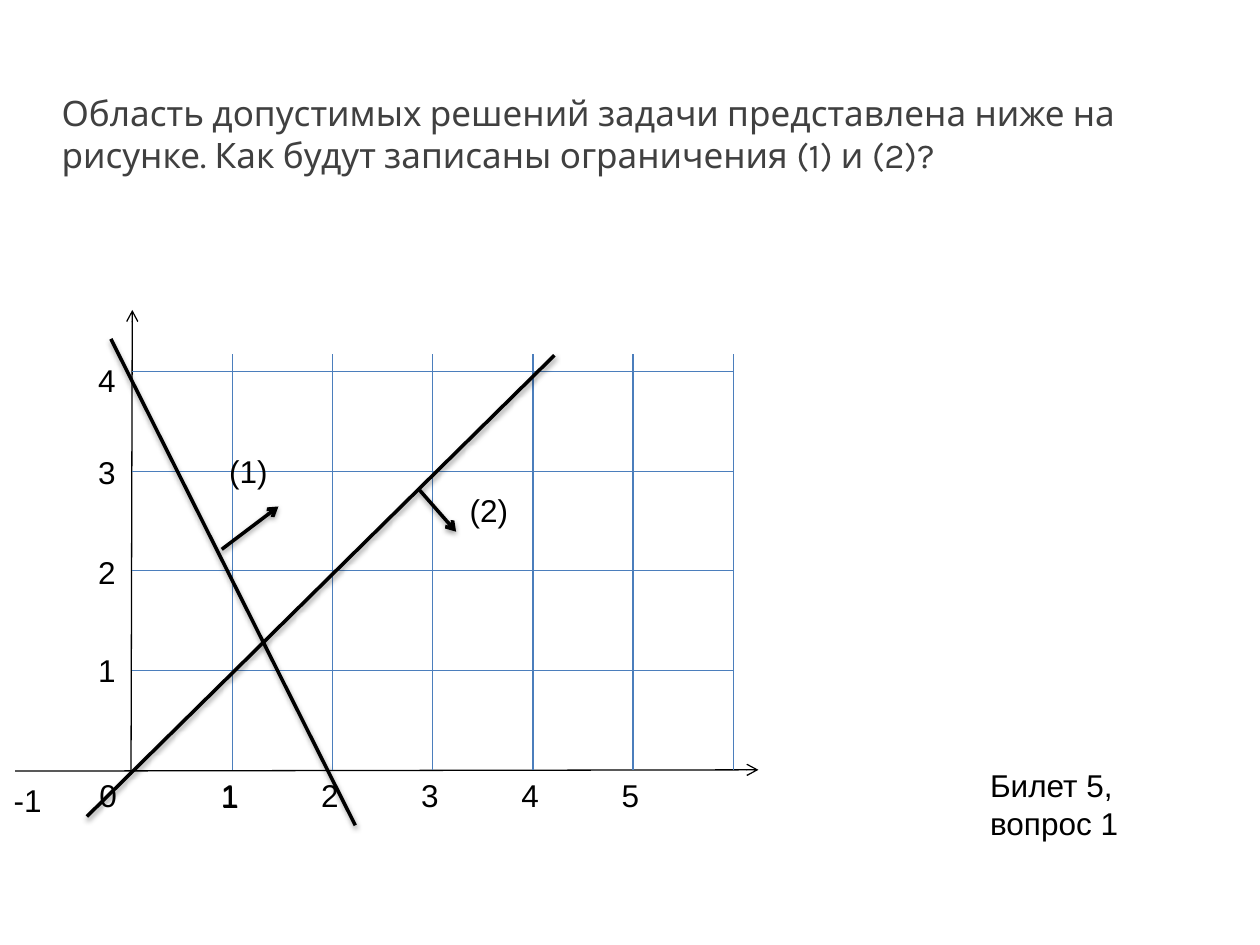
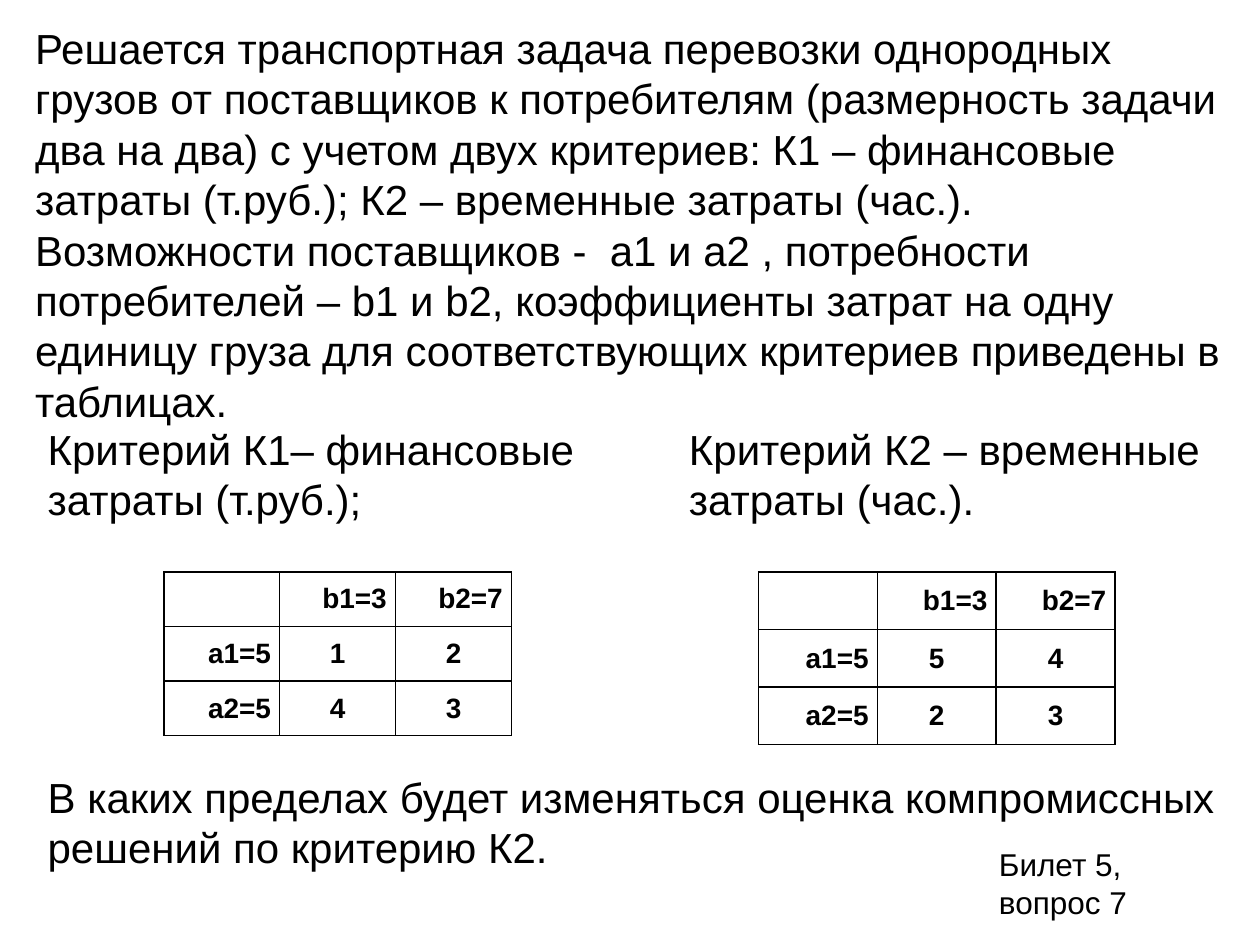
from lxml.etree import SubElement
from pptx import Presentation
from pptx.dml.color import RGBColor
from pptx.enum.shapes import MSO_CONNECTOR
from pptx.enum.text import MSO_ANCHOR, MSO_AUTO_SIZE, PP_ALIGN
from pptx.oxml.ns import qn
from pptx.util import Inches, Pt

COLORS = {"ink": "000000", "title": "404040", "grid": "4B7EBC"}

QUESTION = ("Область допустимых решений задачи представлена ниже на рисунке. "
            "Как будут записаны ограничения (1) и (2)?")
ORIGIN = (1.05, 6.11)
UNIT = (0.795, 0.79)
GRID_TOP, GRID_RIGHT = 2.81, 5.82
COLUMNS, ROWS = 6, 4
AXES = [((1.04, 6.15), (1.05, 2.46)), ((0.12, 6.12), (6.02, 6.11))]
CONSTRAINTS = [((0.69, 6.48), (4.4, 2.82)), ((0.88, 2.69), (2.82, 6.55))]
NORMALS = [((1.76, 4.36), (2.21, 4.02)), ((3.33, 3.89), (3.62, 4.22))]
Y_LABEL_TOPS = [5.12, 4.34, 3.55, 2.82]
PLOT_LABELS = [
    ("0", 0.69, 6.11, 0.37),
    ("1", 1.66, 6.12, 0.37),
    ("-1", 0.01, 6.15, 0.53),
    ("(1)", 1.72, 3.54, 0.63),
    ("(2)", 3.63, 3.85, 0.63),
]

TASK = [
    "Решается транспортная задача перевозки однородных грузов от поставщиков "
    "к потребителям (размерность задачи два на два) с учетом двух критериев: "
    "К1 – финансовые затраты (т.руб.); К2 – временные затраты (час.).",
    "Возможности поставщиков -  a1 и a2 , потребности потребителей – b1 и b2, "
    "коэффициенты затрат на одну единицу груза для соответствующих критериев "
    "приведены в таблицах.",
]
TASK_TEXTS = [
    (TASK, (0.18, 0.13, 9.62, 2.93)),
    (["Критерий К1– финансовые затраты (т.руб.);"], (0.28, 3.31, 4.72, 0.91)),
    (["Критерий К2 – временные затраты (час.)."], (5.37, 3.31, 4.43, 0.91)),
    (["В каких пределах будет изменяться оценка компромиссных решений "
      "по критерию К2."], (0.28, 6.07, 9.61, 0.91)),
]
DEMANDS = ["", "b1=3", "b2=7"]
COST_TABLES = [
    {"at": (6.02, 4.54), "cell": (0.943, 0.457),
     "rows": [DEMANDS, ["a1=5", "5", "4"], ["a2=5", "2", "3"]]},
    {"at": (1.3, 4.54), "cell": (0.92, 0.433),
     "rows": [DEMANDS, ["a1=5", "1", "2"], ["a2=5", "4", "3"]]},
]


def write(frame, paragraphs, size=18, font="Arial", color="ink", bold=False,
          align=PP_ALIGN.LEFT):
    for index, text in enumerate(paragraphs):
        paragraph = frame.paragraphs[0] if index == 0 else frame.add_paragraph()
        paragraph.alignment = align
        run = paragraph.add_run()
        run.text = text
        run.font.size = Pt(size)
        run.font.name = font
        run.font.bold = bold
        run.font.color.rgb = RGBColor.from_string(COLORS[color])


def add_text(slide, paragraphs, box, **style):
    frame = slide.shapes.add_textbox(*map(Inches, box)).text_frame
    frame.word_wrap = True
    frame.auto_size = MSO_AUTO_SIZE.SHAPE_TO_FIT_TEXT
    write(frame, paragraphs, **style)


def add_ticket(slide, number, left, top):
    add_text(slide, [f"Билет 5, вопрос {number}"], (left, top, 1.5, 0.71))


def add_line(slide, start, end, color="ink", width=0.75, arrow=False, shadow=False):
    line = slide.shapes.add_connector(MSO_CONNECTOR.STRAIGHT,
                                      *map(Inches, (*start, *end)))
    line.line.color.rgb = RGBColor.from_string(COLORS[color])
    line.line.width = Pt(width)
    properties = line._element.spPr
    if arrow:
        SubElement(properties.find(qn("a:ln")), qn("a:tailEnd"), type="arrow")
    effects = SubElement(properties, qn("a:effectLst"))
    if shadow:
        outer = SubElement(effects, qn("a:outerShdw"), blurRad=str(Pt(3.1)),
                           dist=str(Pt(1.6)), dir="5400000", rotWithShape="0")
        black = SubElement(outer, qn("a:srgbClr"), val=COLORS["ink"])
        SubElement(black, qn("a:alpha"), val="38000")


def add_borders(cell):
    properties = cell._tc.get_or_add_tcPr()
    for side in ("lnL", "lnR", "lnT", "lnB"):
        border = SubElement(properties, qn(f"a:{side}"), w=str(Pt(1)))
        fill = SubElement(border, qn("a:solidFill"))
        SubElement(fill, qn("a:srgbClr"), val=COLORS["ink"])


def add_costs(slide, at, cell, rows):
    width, height = cell
    count = len(rows)
    table = slide.shapes.add_table(count, count, *map(
        Inches, (*at, width * count, height * count))).table
    for index in range(count):
        table.columns[index].width = Inches(width)
        table.rows[index].height = Inches(height)
    for row, values in enumerate(rows):
        for column, value in enumerate(values):
            cost = table.cell(row, column)
            add_borders(cost)
            cost.fill.background()
            cost.vertical_anchor = MSO_ANCHOR.MIDDLE
            cost.margin_left = cost.margin_right = Inches(0.07)
            cost.margin_top = cost.margin_bottom = 0
            if value:
                inner = row > 0 and column > 0
                write(cost.text_frame, [value], size=16, bold=True,
                      align=PP_ALIGN.CENTER if inner else PP_ALIGN.RIGHT)


def build_region(slide):
    add_text(slide, [QUESTION], (0.39, 0.68, 9.06, 0.77),
             size=20, font="Karla", color="title")
    for start, end in AXES:
        add_line(slide, start, end, arrow=True)
    for step in range(1, ROWS + 1):
        y = ORIGIN[1] - step * UNIT[1]
        add_line(slide, (ORIGIN[0], y), (GRID_RIGHT, y), color="grid")
    for step in range(1, COLUMNS + 1):
        x = ORIGIN[0] + step * UNIT[0]
        add_line(slide, (x, GRID_TOP), (x, ORIGIN[1]), color="grid")
        if step < COLUMNS:
            add_text(slide, [str(step)], (x - 0.19, ORIGIN[1], 0.37, 0.4))
    for step, top in enumerate(Y_LABEL_TOPS, 1):
        add_text(slide, [str(step)], (0.68, top, 0.37, 0.4))
    for start, end in CONSTRAINTS:
        add_line(slide, start, end, width=2, shadow=True)
    for start, end in NORMALS:
        add_line(slide, start, end, width=2, arrow=True, shadow=True)
    for text, left, top, width in PLOT_LABELS:
        add_text(slide, [text], (left, top, width, 0.4))
    add_ticket(slide, 1, 7.76, 6.03)


def build_transport(slide):
    for paragraphs, box in TASK_TEXTS:
        add_text(slide, paragraphs, box, size=24)
    for costs in COST_TABLES:
        add_costs(slide, **costs)
    add_ticket(slide, 7, 7.83, 6.66)


def main():
    deck = Presentation()
    deck.slide_width, deck.slide_height = Inches(10), Inches(7.5)
    for build in (build_region, build_transport):
        build(deck.slides.add_slide(deck.slide_layouts[6]))
    deck.save("out.pptx")


if __name__ == "__main__":
    main()
